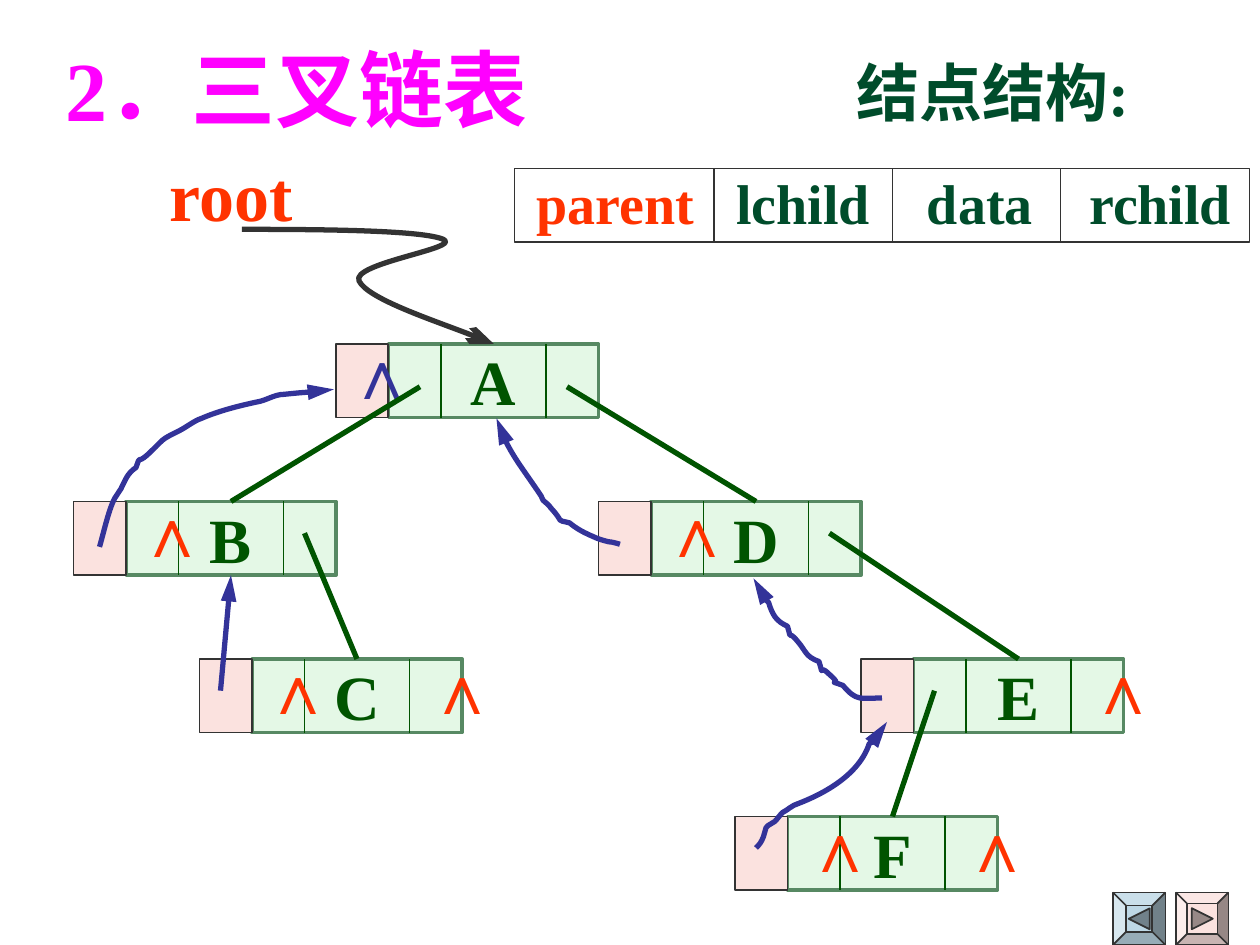
from lxml.etree import SubElement
from pptx import Presentation
from pptx.dml.color import RGBColor
from pptx.enum.shapes import MSO_CONNECTOR, MSO_SHAPE as Shape
from pptx.enum.text import MSO_ANCHOR as Anchor, MSO_AUTO_SIZE as AutoSize, PP_ALIGN as Align
from pptx.oxml.ns import qn
from pptx.util import Inches, Pt

MAGENTA = RGBColor(0xFF, 0x00, 0xFF)
RED = RGBColor(0xFF, 0x33, 0x00)
BLUE = RGBColor(0x33, 0x33, 0x99)
INK = RGBColor(0x33, 0x33, 0x33)
TEAL = RGBColor(0x00, 0x4C, 0x2B)
GREEN = RGBColor(0x00, 0x54, 0x00)
EDGE = RGBColor(0x57, 0x89, 0x63)
MINT = RGBColor(0xCA, 0xF2, 0xCE)
PINK = RGBColor(0xFB, 0xE2, 0xDF)
SKY = RGBColor(0xBD, 0xD7, 0xE5)
DARK_SKY = RGBColor(0x71, 0x81, 0x8A)
DARK_PINK = RGBColor(0x97, 0x88, 0x86)
SERIF, SANS, CJK = "Times New Roman", "Arial", "Noto Sans CJK SC"

WIDTH, HEIGHT = Inches(10), Inches(7.5)
COLUMN, ROW = WIDTH / 24, HEIGHT / 6
TREE_TOP = HEIGHT * 0.364
NODE_HEIGHT = HEIGHT * 0.078
THOUSANDTH = WIDTH / 1000

# name: (left in columns, level, [(column of a null mark, its colour)])
NODES = {
    "A": (6.4, 0, [(-0.02, BLUE)]),
    "D": (11.4, 1, [(0.98, RED)]),
    "E": (16.4, 2, [(4.1, RED)]),
    "B": (1.4, 1, [(0.98, RED)]),
    "C": (3.8, 2, [(0.98, RED), (4.1, RED)]),
    "F": (14, 3, [(1.1, RED), (4.1, RED)]),
}
# parent, child, start in columns and as a share of the node height
CHILD_LINKS = [
    ("A", "B", 1.6, 0.58), ("A", "D", 4.4, 0.58), ("B", "C", 4.4, 0.43),
    ("D", "E", 4.4, 0.43), ("E", "F", 1.4, 0.43),
]
# Bezier points in thousandths of the slide width: a start, then triples
ROOT_CURVE = [
    (192, 182), (264, 182), (336, 183), (352, 190), (367, 197), (278, 209),
    (285, 223), (292, 237), (374, 265), (392, 273),
]
PARENT_CURVES = [
    [(79, 434), (82, 424), (87, 401), (92, 394), (93, 392), (95, 390), (96, 388),
     (100, 380), (101, 376), (108, 371), (112, 360), (108, 369), (117, 361),
     (132, 347), (126, 350), (142, 342), (148, 339), (154, 334), (160, 332),
     (174, 326), (190, 322), (204, 319), (211, 318), (218, 313), (225, 313),
     (235, 312), (244, 311), (254, 311), (258, 310), (265, 309), (265, 309)],
    [(492, 432), (492, 432), (486, 430), (483, 430), (479, 429), (475, 428),
     (471, 426), (464, 423), (458, 420), (452, 415), (440, 412), (449, 416),
     (437, 403), (436, 401), (433, 399), (431, 397), (430, 395), (429, 392),
     (427, 390), (414, 371), (400, 353), (394, 332)],
    [(700, 554), (683, 554), (680, 557), (669, 544), (653, 538), (672, 547),
     (658, 535), (648, 525), (655, 541), (650, 525), (639, 521), (640, 517),
     (633, 509), (624, 498), (629, 511), (625, 497), (616, 493), (613, 488),
     (610, 478), (603, 472), (601, 468), (598, 459)],
    [(600, 673), (603, 670), (604, 669), (606, 664), (607, 662), (607, 659),
     (608, 657), (610, 654), (613, 654), (615, 652), (617, 650), (619, 647),
     (621, 645), (625, 643), (629, 639), (633, 638), (654, 630), (682, 615),
     (690, 590), (701, 586), (695, 590), (704, 573)],
]


def add_span(para, text, size, color, font=SERIF):
    span = para.add_run()
    span.text = text
    span.font.size, span.font.bold, span.font.name = Pt(size), True, font
    span.font.color.rgb = color
    SubElement(span.font._element, qn("a:ea"), typeface=CJK)


def add_label(page, left, top, width, height):
    """Add an unwrapped text box and return its first paragraph."""
    box = page.shapes.add_textbox(round(left), round(top), round(width), round(height))
    box.text_frame.word_wrap = False
    box.text_frame.auto_size = AutoSize.SHAPE_TO_FIT_TEXT
    return box.text_frame.paragraphs[0]


def add_box(page, kind, left, top, width, height, fill, line, weight=1):
    box = page.shapes.add_shape(kind, round(left), round(top), round(width), round(height))
    box.shadow.inherit = False
    if fill is None:
        box.fill.background()
    else:
        box.fill.solid()
        box.fill.fore_color.rgb = fill
    box.line.color.rgb, box.line.width = line, Pt(weight)
    return box


def add_line(page, start, end, color, weight):
    points = [round(value) for value in (*start, *end)]
    line = page.shapes.add_connector(MSO_CONNECTOR.STRAIGHT, *points)
    line.line.color.rgb, line.line.width = color, Pt(weight)
    SubElement(line._element.spPr, qn("a:effectLst"))
    return line


def add_arrowhead(line, kind):
    SubElement(line.line._get_or_add_ln(), qn("a:tailEnd"), type=kind, w="med", len="lg")


def add_curve(page, points, color, arrow):
    """Draw a Bezier arrow by turning each three line segments into one curve."""
    builder = page.shapes.build_freeform(*points[0], scale=THOUSANDTH)
    builder.add_line_segments(points[1:], close=False)
    curve = builder.convert_to_shape()
    curve.shadow.inherit = False
    curve.fill.background()
    curve.line.color.rgb, curve.line.width = color, Pt(3)
    add_arrowhead(curve, arrow)
    outline = next(curve._element.iter(qn("a:path")))
    segments = outline.findall(qn("a:lnTo"))
    for first in range(0, len(segments), 3):
        bezier = SubElement(outline, qn("a:cubicBezTo"))
        for segment in segments[first:first + 3]:
            bezier.append(segment[0])
            outline.remove(segment)


def node_point(name, column, share):
    left, level, _ = NODES[name]
    return (left + column) * COLUMN, TREE_TOP + level * ROW + share * NODE_HEIGHT


def add_node(page, name):
    """Draw the parent cell and the three-part body; return the body."""
    left, top = node_point(name, 0, 0)
    body = add_box(page, Shape.RECTANGLE, left + COLUMN, top, 4 * COLUMN, NODE_HEIGHT, MINT, EDGE, 2)
    tint = body._element.spPr.find(qn("a:solidFill"))[0]
    SubElement(tint, qn("a:alpha"), val="50000")
    frame = body.text_frame
    frame.word_wrap, frame.vertical_anchor = False, Anchor.MIDDLE
    frame.paragraphs[0].alignment = Align.CENTER
    add_span(frame.paragraphs[0], name, 36, GREEN)
    for column in (2, 4):
        add_line(page, node_point(name, column, 0), node_point(name, column, 1), GREEN, 1)
    add_box(page, Shape.RECTANGLE, left, top, COLUMN, NODE_HEIGHT, PINK, INK)
    return body


def add_tree(page):
    bodies = {name: add_node(page, name) for name in NODES}
    for name, (_, _, marks) in NODES.items():
        for column, color in marks:
            left, top = node_point(name, column, -0.28)
            add_span(add_label(page, left, top, 0.9 * COLUMN, 0.62 * ROW), "∧", 40, color, SANS)
    for parent, child, column, share in CHILD_LINKS:
        link = add_line(page, node_point(parent, column, share), node_point(child, 3, 0), GREEN, 3)
        link.end_connect(bodies[child], 0)
    link = add_line(page, node_point("C", 0.4, 0.43), node_point("B", 3, 1), BLUE, 3)
    link.end_connect(bodies["B"], 2)
    add_arrowhead(link, "triangle")
    for points in PARENT_CURVES:
        add_curve(page, points, BLUE, "triangle")
    add_curve(page, ROOT_CURVE, INK, "arrow")
    add_span(add_label(page, 3 * COLUMN, 0.92 * ROW, 2.83 * COLUMN, 0.62 * ROW), "root", 40, RED)


def add_field_row(page, left, top, width, height):
    para = add_label(page, left + 0.19 * COLUMN, top - 0.04 * ROW, 0.98 * width, 0.51 * ROW)
    tabs = SubElement(para._p.get_or_add_pPr(), qn("a:tabLst"))
    for column in (3.8, 7.43, 10.52):
        SubElement(tabs, qn("a:tab"), pos=str(round(column * COLUMN)), algn="l")
    add_span(para, "parent\t", 32, RED)
    add_span(para, "lchild\tdata\trchild", 32, TEAL)
    add_box(page, Shape.RECTANGLE, left, top, width, height, None, INK)
    for column in (3.8, 7.2, 10.4):
        x = left + column * COLUMN
        add_line(page, (x, top), (x, top + height), INK, 1)


def add_title(page, left, top, width, height):
    title = page.shapes.title
    title.left, title.top = round(left), round(top)
    title.width, title.height = round(width), round(height)
    frame = title.text_frame
    frame.word_wrap, frame.vertical_anchor = False, Anchor.TOP
    frame.auto_size = AutoSize.NONE
    para = frame.paragraphs[0]
    para.alignment = Align.LEFT
    add_span(para, "2．", 48, MAGENTA)
    add_span(para, "三叉链表", 48, MAGENTA, CJK)


def add_button(page, left, top, side, fill, dark, bevel, turn):
    frame = add_box(page, Shape.BEVEL, left, top, side, side, fill, INK)
    frame.adjustments[0] = bevel
    icon = 0.4 * side
    inset = (side - icon) / 2
    arrow = add_box(page, Shape.ISOSCELES_TRIANGLE, left + inset, top + inset, icon, icon, dark, INK)
    arrow.rotation = turn


def main():
    deck = Presentation()
    deck.slide_width, deck.slide_height = WIDTH, HEIGHT
    page = deck.slides.add_slide(deck.slide_layouts[5])
    add_title(page, COLUMN, 0.2 * ROW, 10.5 * COLUMN, 0.72 * ROW)
    add_button(page, 21.2 * COLUMN, HEIGHT - COLUMN, COLUMN, SKY, DARK_SKY, 0.25, 270)
    add_button(page, 22.4 * COLUMN, HEIGHT - COLUMN, COLUMN, PINK, DARK_PINK, 0.21, 90)
    add_tree(page)
    add_field_row(page, 9.8 * COLUMN, 1.07 * ROW, 14 * COLUMN, NODE_HEIGHT)
    heading = add_label(page, 16.08 * COLUMN, 0.3 * ROW, 5.95 * COLUMN, 0.56 * ROW)
    add_span(heading, "结点结构:", 36, TEAL)
    deck.save("out.pptx")


if __name__ == "__main__":
    main()
